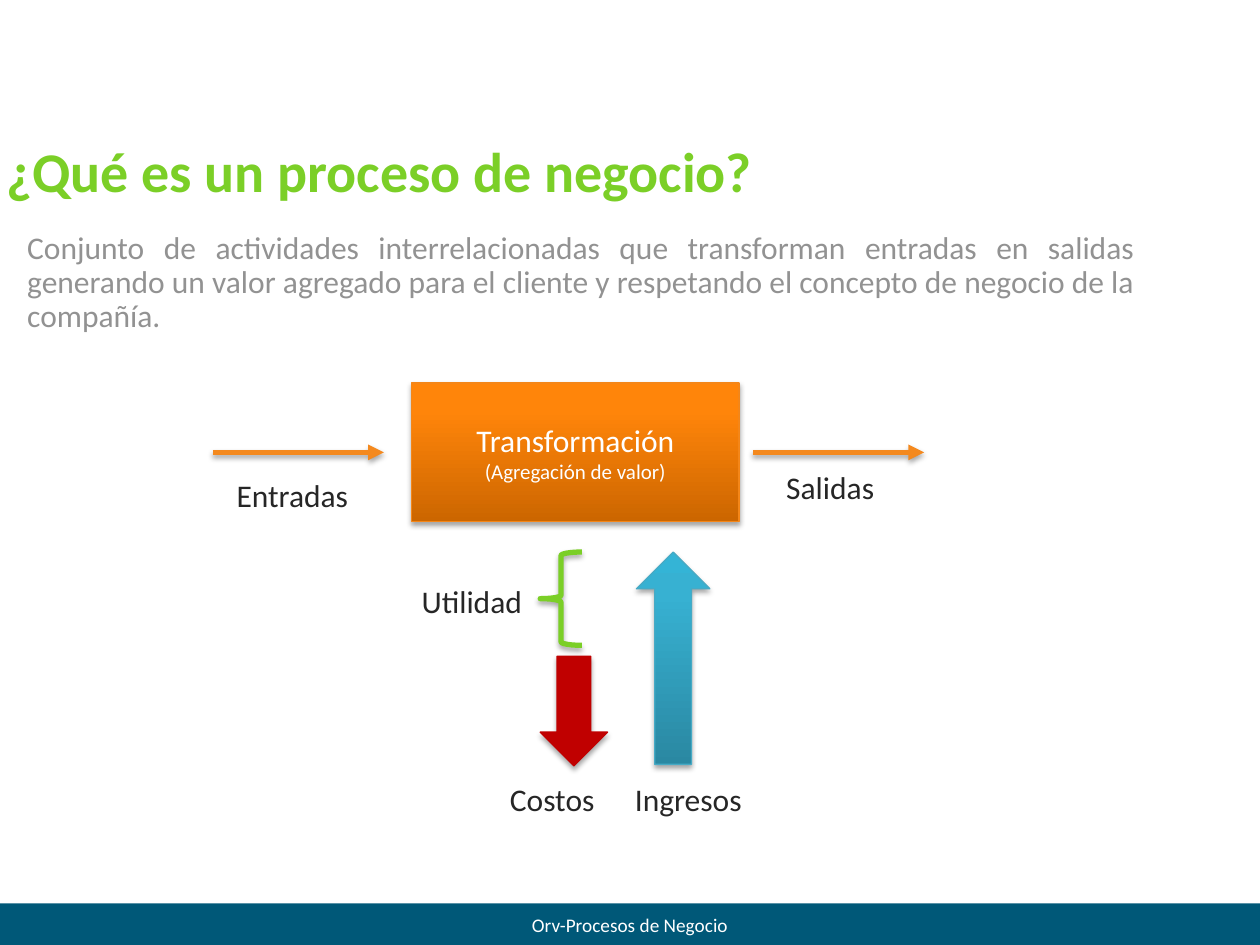
"""Build the slide that explains what a business process is."""
from copy import deepcopy

from lxml.etree import SubElement
from pptx import Presentation
from pptx.dml.color import RGBColor
from pptx.enum.shapes import MSO_CONNECTOR, MSO_SHAPE
from pptx.enum.text import MSO_ANCHOR, MSO_AUTO_SIZE, PP_ALIGN
from pptx.oxml.ns import qn
from pptx.util import Cm, Pt

FONT = "Calibri"
WHITE = RGBColor(0xFF, 0xFF, 0xFF)
BLACK = RGBColor(0x00, 0x00, 0x00)
NAVY = RGBColor(0x00, 0x58, 0x78)
GREEN = RGBColor(0x7B, 0xCF, 0x27)
GRAY = RGBColor(0x92, 0x92, 0x92)
DARK = RGBColor(0x26, 0x26, 0x26)
RED = RGBColor(0xC0, 0x00, 0x00)
ORANGE = RGBColor(0xF4, 0x89, 0x1E)
BOX_EDGE = RGBColor(0xF4, 0x86, 0x18)
BOX_FILL = [RGBColor(0xCC, 0x66, 0x00), RGBColor(0xFF, 0x85, 0x0A), RGBColor(0xFF, 0x85, 0x0C)]
INCOME_EDGE = RGBColor(0x46, 0xAA, 0xC5)
INCOME_FILL = [RGBColor(0x2A, 0x88, 0xA2), RGBColor(0x37, 0xB1, 0xD2), RGBColor(0x34, 0xB4, 0xD6)]


def add_run(paragraph, text, size, color, bold=False):
    run = paragraph.add_run()
    run.text = text
    run.font.name = FONT
    run.font.size = Pt(size)
    run.font.bold = bold
    run.font.color.rgb = color


def add_shadow(shape):
    properties = shape._element.spPr
    for old_effects in properties.findall(qn("a:effectLst")):
        properties.remove(old_effects)
    effects = SubElement(properties, qn("a:effectLst"))
    shadow = SubElement(effects, qn("a:outerShdw"), blurRad=str(Pt(3.1)),
                        dist=str(Pt(1.8)), dir="5400000", rotWithShape="0")
    color = SubElement(shadow, qn("a:srgbClr"), val=str(BLACK))
    SubElement(color, qn("a:alpha"), val="35000")


presentation = Presentation()
presentation.slide_width = Cm(25.4)
presentation.slide_height = Cm(19.05)
slide = presentation.slides.add_slide(presentation.slide_layouts[5])
shapes = slide.shapes

title = shapes.title
title.left, title.top, title.width, title.height = Cm(-0.13), Cm(2.62), Cm(22.86), Cm(1.63)
title.text_frame.auto_size = MSO_AUTO_SIZE.NONE
title.text_frame.vertical_anchor = MSO_ANCHOR.MIDDLE
paragraph = title.text_frame.paragraphs[0]
paragraph.alignment = PP_ALIGN.LEFT
add_run(paragraph, "¿Qué es un proceso de negocio?", 32, GREEN, bold=True)

footer_band = shapes.add_shape(MSO_SHAPE.RECTANGLE, 0, Cm(18.21), Cm(25.4), Cm(0.86))
footer_band.shadow.inherit = False
footer_band.fill.solid()
footer_band.fill.fore_color.rgb = NAVY
footer_band.line.fill.background()

footer = shapes.add_textbox(Cm(1.27), Cm(18.29), Cm(22.86), Cm(0.74))
footer.text_frame.word_wrap = True
paragraph = footer.text_frame.paragraphs[0]
paragraph.alignment = PP_ALIGN.CENTER
add_run(paragraph, "Orv-Procesos de Negocio", 11, WHITE)

definition = shapes.add_textbox(Cm(0.3), Cm(4.55), Cm(22.83), Cm(2.08))
definition.text_frame.word_wrap = True
paragraph = definition.text_frame.paragraphs[0]
paragraph.alignment = PP_ALIGN.JUSTIFY
paragraph.line_spacing = 0.9
paragraph.space_before = Pt(3.6)
add_run(paragraph, "Conjunto de actividades interrelacionadas que transforman entradas en salidas "
        "generando un valor agregado para el cliente y respetando el concepto de negocio "
        "de la compañía.", 18, GRAY)

block_specs = [
    (MSO_SHAPE.RECTANGLE, 8.3, 7.72, 6.6, 2.8, BOX_FILL, BOX_EDGE, 0.75),
    (MSO_SHAPE.DOWN_ARROW, 10.89, 13.23, 1.36, 2.21, [RED], RED, 0.75),
    (MSO_SHAPE.UP_ARROW, 12.83, 11.13, 1.48, 4.28, INCOME_FILL, INCOME_EDGE, 0.75),
    (MSO_SHAPE.LEFT_BRACE, 10.89, 11.13, 0.84, 1.88, [], GREEN, 3),
]
blocks = []
for kind, left, top, width, height, colors, edge, weight in block_specs:
    block = shapes.add_shape(kind, Cm(left), Cm(top), Cm(width), Cm(height))
    if len(colors) > 1:
        block.fill.gradient()
        block.fill.gradient_angle = 90
        stop_list = block._element.spPr.find(".//" + qn("a:gsLst"))
        stop_list.append(deepcopy(stop_list[-1]))
        for stop, color, position in zip(block.fill.gradient_stops, colors, (0, 0.8, 1)):
            stop.color.rgb = color
            stop.position = position
    elif colors:
        block.fill.solid()
        block.fill.fore_color.rgb = colors[0]
    else:
        block.fill.background()
    block.line.color.rgb = edge
    block.line.width = Pt(weight)
    add_shadow(block)
    blocks.append(block)

transformation = blocks[0].text_frame
transformation.word_wrap = True
transformation.vertical_anchor = MSO_ANCHOR.MIDDLE
paragraph = transformation.paragraphs[0]
paragraph.alignment = PP_ALIGN.CENTER
add_run(paragraph, "Transformación ", 18, WHITE)
add_run(paragraph, "(Agregación de valor)", 12, WHITE)

labels = [
    ("Entradas", 4.52, 9.47, 3.07),
    ("Salidas", 15.6, 9.32, 2.62),
    ("Costos", 10.03, 15.6, 2.51),
    ("Ingresos", 12.55, 15.6, 3.15),
    ("Utilidad", 8.25, 11.61, 2.64),
]
for text, left, top, width in labels:
    label = shapes.add_textbox(Cm(left), Cm(top), Cm(width), Cm(1.02))
    label.text_frame.word_wrap = False
    add_run(label.text_frame.paragraphs[0], text, 18, DARK)

for start in (4.29, 15.18):
    arrow = shapes.add_connector(MSO_CONNECTOR.STRAIGHT, Cm(start), Cm(9.12),
                                 Cm(start + 3.45), Cm(9.12))
    arrow.line.color.rgb = ORANGE
    arrow.line.width = Pt(3)
    SubElement(arrow.line._get_or_add_ln(), qn("a:tailEnd"), type="triangle")
    add_shadow(arrow)

presentation.save("out.pptx")
